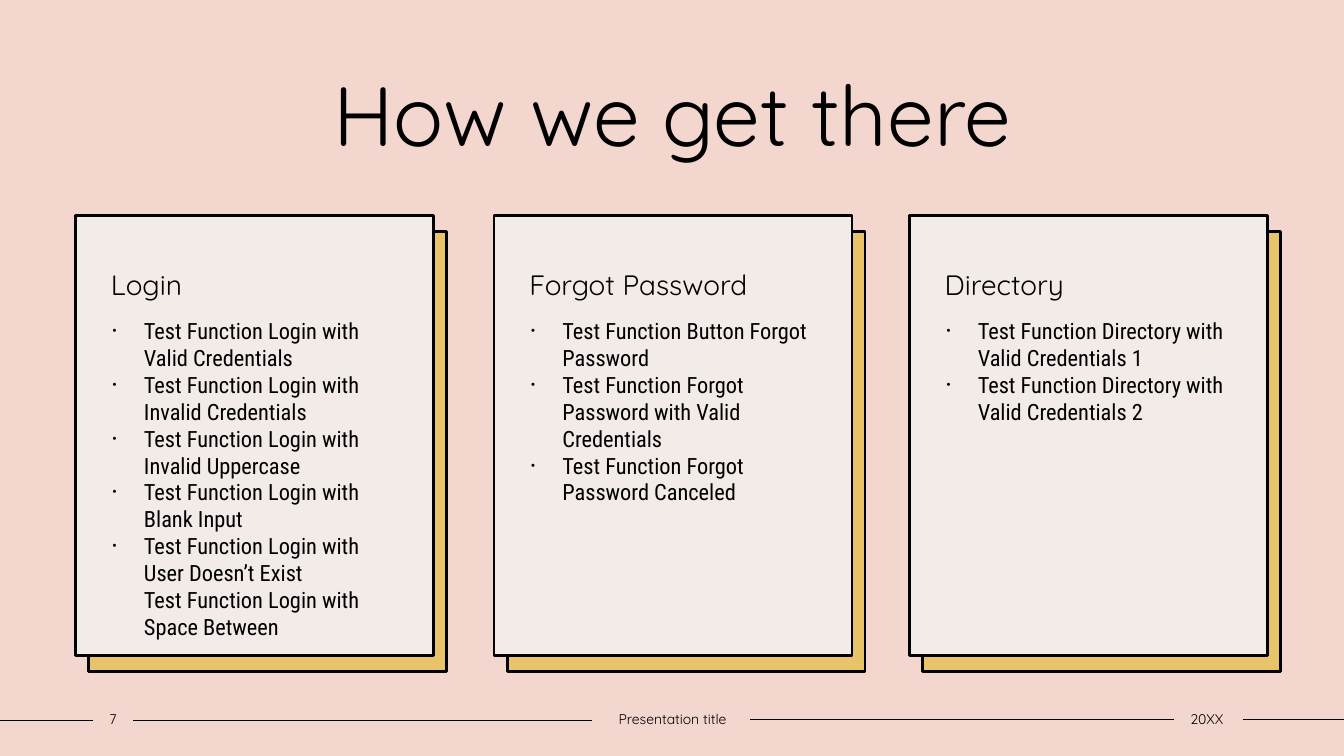
from pptx import Presentation
from pptx.dml.color import RGBColor as Rgb
from pptx.enum.shapes import MSO_CONNECTOR as Conn, MSO_SHAPE as Kind
from pptx.enum.text import MSO_ANCHOR as Anchor, PP_ALIGN as Align
from pptx.oxml.ns import qn
from pptx.util import Inches, Pt
from lxml.etree import SubElement as Sub

WIDE, HIGH = 13.33, 7.5
INK, PINK, GOLD, PALE = "000000", "F3D6CD", "E9C369", "F3EBE8"
HEAD, BODY = "Quicksand", "Roboto Condensed"

TITLE = "How we get there"
CARDS = [
    (0.75, "Login", [
        "Test Function Login with Valid Credentials",
        "Test Function Login with Invalid Credentials",
        "Test Function Login with Invalid Uppercase",
        "Test Function Login with Blank Input",
        "Test Function Login with User Doesn’t Exist\n"
        "Test Function Login with Space Between",
    ]),
    (4.9, "Forgot Password", [
        "Test Function Button Forgot Password",
        "Test Function Forgot Password with Valid Credentials",
        "Test Function Forgot Password Canceled",
    ]),
    (9.02, "Directory", [
        "Test Function Directory with Valid Credentials 1",
        "Test Function Directory with Valid Credentials 2",
    ]),
]
FOOT = [(0.92, 0.4, "7"), (5.87, 1.6, "Presentation title"), (11.62, 0.7, "20XX")]
RULES = [(0, 0.92, 7.15), (1.32, 5.87, 7.15), (7.44, 11.64, 7.14), (12.33, WIDE, 7.14)]
TOP, CARD_W, CARD_H = 2.14, 3.55, 4.36
SHIFT_X, SHIFT_Y = 0.13, 0.16
LIST_X, LIST_Y, LIST_W, LIST_H = 0.27, 3.1, 3, 3.3

deck = Presentation()
deck.slide_width, deck.slide_height = Inches(WIDE), Inches(HIGH)
slide = deck.slides.add_slide(deck.slide_layouts[6])
shapes = slide.shapes


def color(code):
    return Rgb.from_string(code)


def paint(fill, code):
    fill.solid()
    fill.fore_color.rgb = color(code)


def rule(left, right, y):
    line = shapes.add_connector(
        Conn.STRAIGHT, Inches(left), Inches(y), Inches(right), Inches(y))
    line.line.color.rgb = color(INK)
    line.line.width = Pt(1)
    Sub(line.element.spPr, qn("a:effectLst"))


def panel(x, y, code):
    box = shapes.add_shape(
        Kind.RECTANGLE, Inches(x), Inches(y), Inches(CARD_W), Inches(CARD_H))
    box.shadow.inherit = False
    paint(box.fill, code)
    box.line.color.rgb = color(INK)
    box.line.width = Pt(2)
    return box


def setup(frame, inset, anchor):
    frame.word_wrap = True
    frame.vertical_anchor = anchor
    left, top, right, bottom = map(Inches, inset)
    frame.margin_left, frame.margin_top = left, top
    frame.margin_right, frame.margin_bottom = right, bottom


def area(x, y, w, h, anchor, side=0.1):
    box = shapes.add_textbox(Inches(x), Inches(y), Inches(w), Inches(h))
    setup(box.text_frame, (side, 0.05, side, 0.05), anchor)
    return box.text_frame


def write(para, text, size, font, align=Align.LEFT):
    para.alignment = align
    for i, part in enumerate(text.split("\n")):
        if i:
            para.add_line_break()
        run = para.add_run()
        run.text = part
        run.font.size = Pt(size)
        run.font.name = font
        run.font.color.rgb = color(INK)


def bullet(para):
    props = para._p.get_or_add_pPr()
    props.set("marL", str(Inches(0.31)))
    props.set("indent", str(-Inches(0.31)))
    Sub(props, qn("a:buSzPct")).set("val", "50000")
    Sub(props, qn("a:buFont")).set("typeface", "Arial")
    Sub(props, qn("a:buChar")).set("char", "•")


paint(slide.background.fill, PINK)
for left, right, y in RULES:
    rule(left, right, y)

title = area(1.25, 0.56, 10.84, 1.11, Anchor.MIDDLE)
write(title.paragraphs[0], TITLE, 60, HEAD, Align.CENTER)

for x, name, items in CARDS:
    panel(x + SHIFT_X, TOP + SHIFT_Y, GOLD)
    frame = panel(x, TOP, PALE).text_frame
    setup(frame, (0.35, 0.55, 0.1, 0.05), Anchor.TOP)
    para = frame.paragraphs[0]
    para.line_spacing = 0.9
    write(para, name, 20, HEAD)
    tests = area(x + LIST_X, LIST_Y, LIST_W, LIST_H, Anchor.TOP)
    for i, item in enumerate(items):
        para = tests.add_paragraph() if i else tests.paragraphs[0]
        bullet(para)
        write(para, item, 16, BODY)

for x, w, text in FOOT:
    foot = area(x, 7, w, 0.27, Anchor.MIDDLE, 0)
    write(foot.paragraphs[0], text, 10, HEAD, Align.CENTER)

deck.save("out.pptx")
